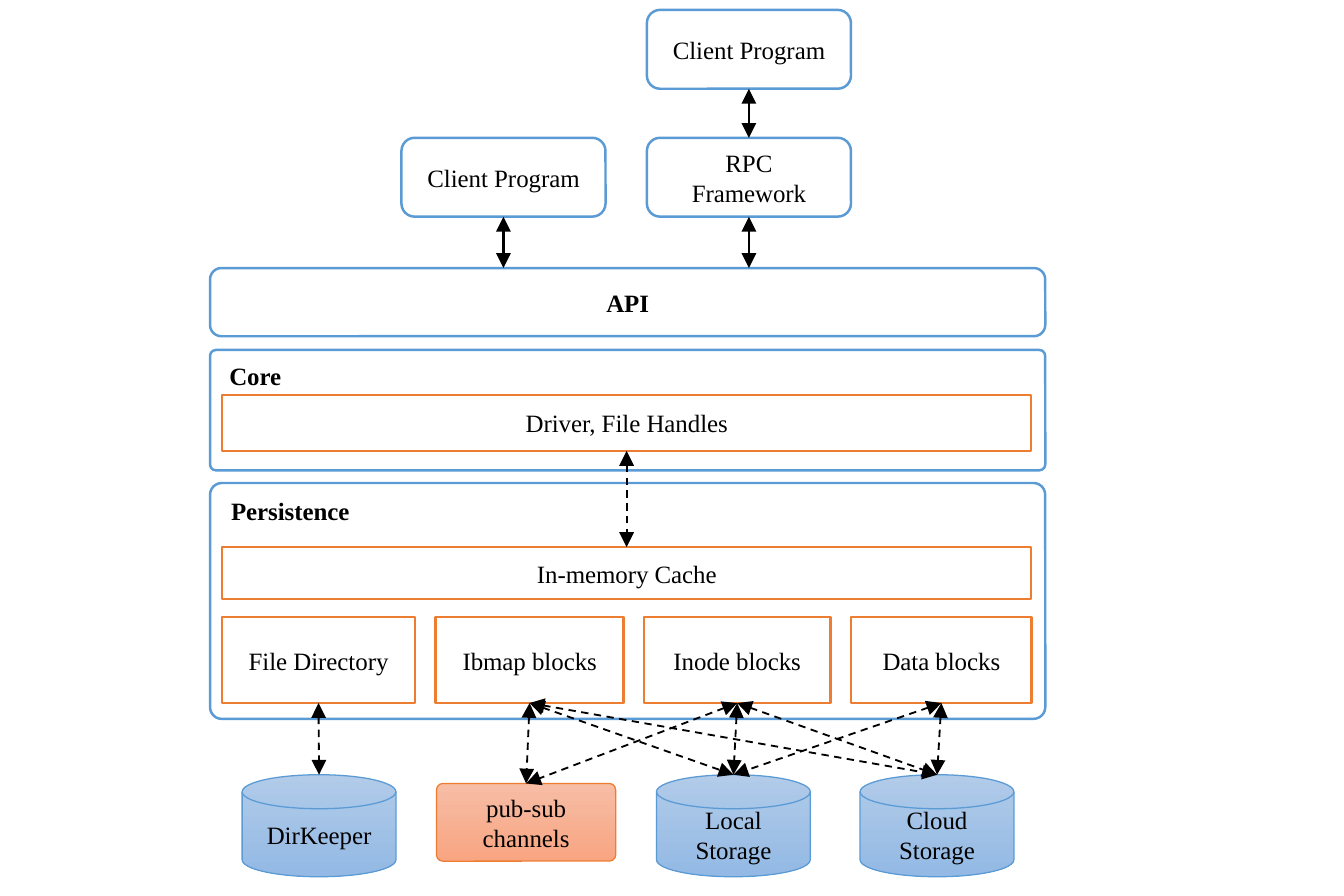
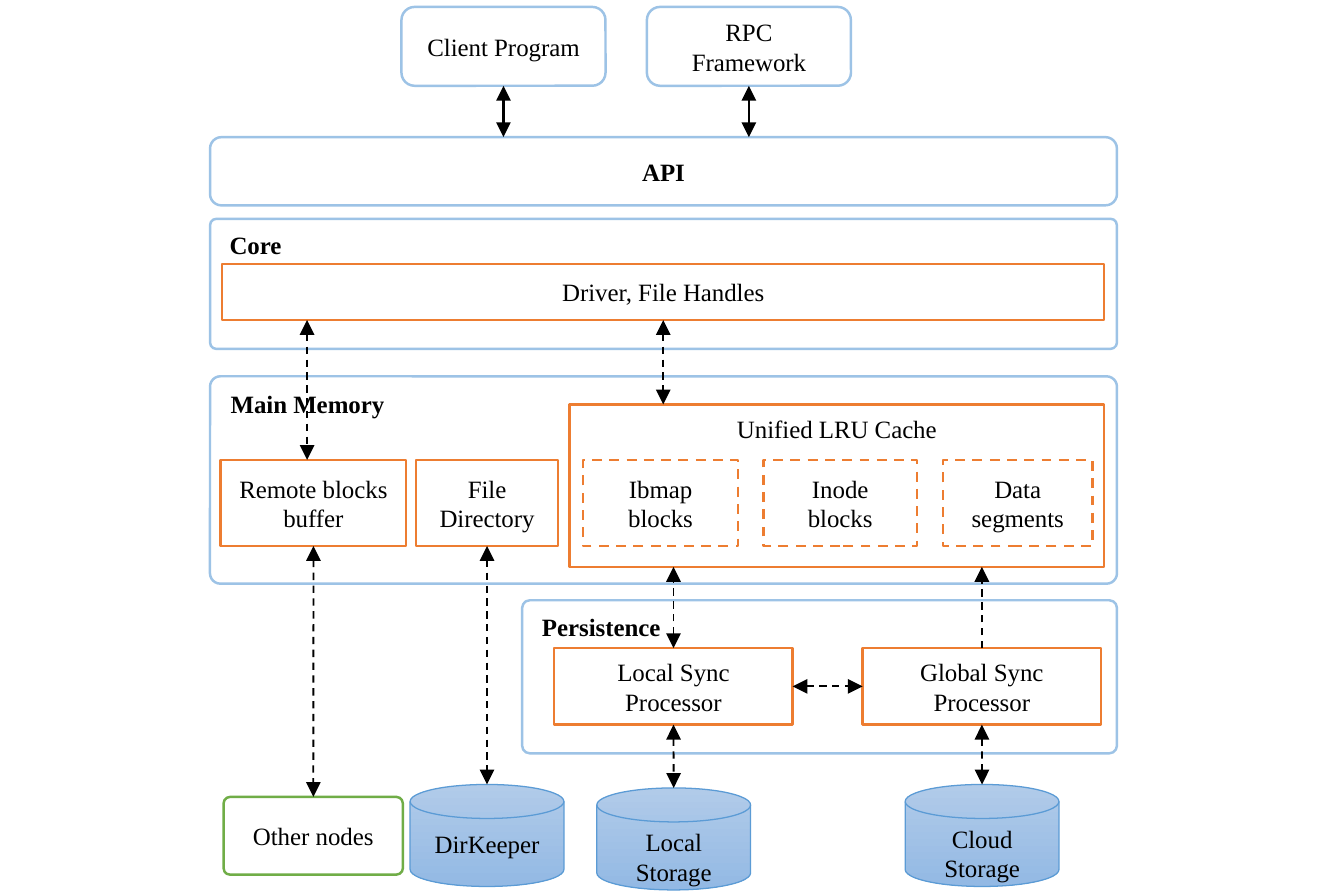
from pptx import Presentation
from pptx.dml.color import RGBColor
from pptx.enum.dml import MSO_LINE_DASH_STYLE as DASH
from pptx.enum.shapes import MSO_CONNECTOR, MSO_SHAPE
from pptx.enum.text import MSO_ANCHOR as ANCHOR, PP_ALIGN as ALIGN
from pptx.oxml.ns import qn
from pptx.util import Pt
from lxml import etree

WHITE = RGBColor(0xFF, 0xFF, 0xFF)
BLACK = RGBColor(0, 0, 0)
BLUE = RGBColor(0x5B, 0x9B, 0xD5)
LIGHT_BLUE = RGBColor(0x9D, 0xC3, 0xE6)
ORANGE = RGBColor(0xED, 0x7D, 0x31)
GREEN = RGBColor(0x70, 0xAD, 0x47)
BLUE_FADE = (RGBColor(0xB1, 0xCB, 0xE9), RGBColor(0x93, 0xB9, 0xE4))
ORANGE_FADE = (RGBColor(0xF7, 0xBD, 0xA5), RGBColor(0xF8, 0xA5, 0x82))
FONT = "Times New Roman"

ROUND = MSO_SHAPE.ROUNDED_RECTANGLE
RECT = MSO_SHAPE.RECTANGLE
DISK = MSO_SHAPE.FLOWCHART_MAGNETIC_DISK
TOP, LEFT, BOTTOM, RIGHT = range(4)

CLIENT_W, CLIENT_H = 82, 31.7
CLIENT_X, RPC_X = 161.3, 259.9
LAYER_X, INNER_X = 84.4, 89.3
API_H, DRIVER_H = 27.4, 22.5
BLOCK_H = 34.6
DISK_W, DISK_H = 61.8, 41
NODE_W, NODE_H = 72, 31.2
SMALL_ADJ, NODE_ADJ = 0.05, 0.08


def box(s, kind, x, y, w, h, text, line, weight=1, fade=None, adj=None,
        bold=False, align=ALIGN.CENTER, anchor=ANCHOR.MIDDLE, dash=None, drop=0):
    sp = s.shapes.add_shape(kind, Pt(x), Pt(y), Pt(w), Pt(h))
    sp.shadow.inherit = False
    if adj:
        sp.adjustments[0] = adj
    if fade:
        sp.fill.gradient()
        sp.fill.gradient_angle = 270
        for stop, color in zip(sp.fill.gradient_stops, fade):
            stop.color.rgb = color
    else:
        sp.fill.solid()
        sp.fill.fore_color.rgb = WHITE
    sp.line.color.rgb = line
    sp.line.width = Pt(weight)
    if dash:
        sp.line.dash_style = dash
    tf = sp.text_frame
    tf.word_wrap = True
    tf.vertical_anchor = anchor
    tf.margin_top = Pt(3.6 + drop)
    p = tf.paragraphs[0]
    p.text = text
    p.alignment = align
    p.font.name = FONT
    p.font.size = Pt(10)
    p.font.bold = bold
    p.font.color.rgb = BLACK
    return sp


def link(s, start, end, weight=0.75, dash=DASH.DASH, heads=("headEnd", "tailEnd")):
    is_point = [isinstance(e[0], (int, float)) for e in (start, end)]
    points = [e if plain else (0, 0) for e, plain in zip((start, end), is_point)]
    cn = s.shapes.add_connector(MSO_CONNECTOR.STRAIGHT, *[Pt(v) for pt in points for v in pt])
    if not is_point[0]:
        cn.begin_connect(*start)
    if not is_point[1]:
        cn.end_connect(*end)
    cn.line.color.rgb = BLACK
    cn.line.width = Pt(weight)
    cn.line.dash_style = dash
    ln = cn.line._get_or_add_ln()
    for head in heads:
        etree.SubElement(ln, qn("a:" + head), type="triangle")
    etree.SubElement(cn._element.spPr, qn("a:effectLst"))


prs = Presentation()
prs.slide_width = Pt(540)
prs.slide_height = Pt(360)
solid = dict(weight=1, dash=DASH.SOLID)
layer = dict(adj=SMALL_ADJ, bold=True, align=ALIGN.LEFT, anchor=ANCHOR.TOP)
disk = dict(line=BLUE, weight=0.5, fade=BLUE_FADE)

slides = []
for line, client_y, layer_w, inner_w, layers in (
    (BLUE, 55.4, 335.6, 325, (("Core", 140.6, 48.4), ("Persistence", 194.1, 94.8))),
    (LIGHT_BLUE, 2.8, 364.4, 354.3, (("Core", 87.9, 52.3), ("Main Memory", 151.2, 83.3))),
):
    s = prs.slides.add_slide(prs.slide_layouts[6])
    api_y = client_y + 52.3
    box(s, ROUND, LAYER_X, api_y, layer_w, API_H, "API", line, bold=True)
    for text, y, h in layers:
        box(s, ROUND, LAYER_X, y, layer_w, h, text, line, **layer)
    driver = box(s, RECT, INNER_X, api_y + 51, inner_w, DRIVER_H, "Driver, File Handles", ORANGE)
    for x, text in ((CLIENT_X, "Client Program"), (RPC_X, "RPC Framework")):
        client = box(s, ROUND, x, client_y, CLIENT_W, CLIENT_H, text, line)
        link(s, (client, BOTTOM), (x + CLIENT_W / 2, api_y), **solid)
    slides.append((s, driver, client))

s, driver, rpc = slides[0]
caller = box(s, ROUND, RPC_X, 4, CLIENT_W, CLIENT_H, "Client Program", BLUE)
link(s, (caller, BOTTOM), (rpc, TOP), **solid)
cache = box(s, RECT, INNER_X, 219.8, 325, 20.9, "In-memory Cache", ORANGE)
link(s, (driver, BOTTOM), (cache, TOP))

blocks = [
    box(s, RECT, x, 247.9, w, BLOCK_H, text, ORANGE)
    for x, w, text in (
        (INNER_X, 77.4, "File Directory"),
        (175, 75.6, "Ibmap blocks"),
        (258.7, 75, "Inode blocks"),
        (342, 72.5, "Data blocks"),
    )
]
directory, ibmap, inode, data = blocks

disk_y = 311.3
disk_tops = []
for x, text in ((97.3, "DirKeeper"), (263.8, "Local Storage"), (345.6, "Cloud Storage")):
    box(s, DISK, x, disk_y, DISK_W, DISK_H, text, **disk)
    disk_tops.append((x + DISK_W / 2, disk_y))
keeper, local, cloud = disk_tops
channels = box(s, ROUND, 175.4, 314.8, NODE_W, NODE_H, "pub-sub channels", ORANGE,
               weight=0.5, fade=ORANGE_FADE, adj=NODE_ADJ)

for block, targets in (
    (directory, (keeper,)),
    (ibmap, ((channels, TOP), local, cloud)),
    (inode, ((channels, TOP), local, cloud)),
    (data, (local, cloud)),
):
    for target in targets:
        link(s, (block, BOTTOM), target)

s, driver, rpc = slides[1]
box(s, ROUND, 209.8, 241.2, 239, 61.5, "Persistence", LIGHT_BLUE, **layer)
lru_y, lru_h, block_y = 162.5, 65.3, 184.8
box(s, RECT, 228.9, lru_y, 214.7, lru_h, "Unified LRU Cache", ORANGE, anchor=ANCHOR.TOP)
for x, w, text in (
    (234.2, 62.4, "Ibmap blocks"),
    (306.7, 61.8, "Inode blocks"),
    (378.9, 60, "Data segments"),
):
    box(s, RECT, x, block_y, w, BLOCK_H, text, ORANGE, dash=DASH.DASH)
remote = box(s, RECT, 88.7, block_y, 74.5, BLOCK_H, "Remote blocks buffer", ORANGE)
directory = box(s, RECT, 167.2, block_y, 57, BLOCK_H, "File Directory", ORANGE)

nodes = box(s, ROUND, 89.9, 320.2, NODE_W, NODE_H, "Other nodes", GREEN, adj=NODE_ADJ)
disk_tops = []
for x, y, text, drop in (
    (164.8, 315.2, "DirKeeper", 0),
    (239.8, 316.6, "Local Storage", 7.2),
    (363.7, 315.2, "Cloud Storage", 7.2),
):
    box(s, DISK, x, y, DISK_W, DISK_H, text, drop=drop, **disk)
    disk_tops.append((x + DISK_W / 2, y))
keeper, local, cloud = disk_tops

syncs = []
for x, text, store, heads in (
    (222.7, "Local Sync Processor", local, ("headEnd", "tailEnd")),
    (346.6, "Global Sync Processor", cloud, ("tailEnd",)),
):
    sync = box(s, RECT, x, 260.4, 95.8, 30.8, text, ORANGE)
    link(s, (sync, TOP), (x + 47.9, lru_y + lru_h), heads=heads)
    link(s, (sync, BOTTOM), store)
    syncs.append(sync)
link(s, (syncs[0], RIGHT), (syncs[1], LEFT))
link(s, (remote, BOTTOM), (nodes, TOP))
link(s, (directory, BOTTOM), keeper)
for x, y in ((123.4, block_y), (266.5, lru_y)):
    link(s, (x, 128.6), (x, y))

prs.save("out.pptx")
